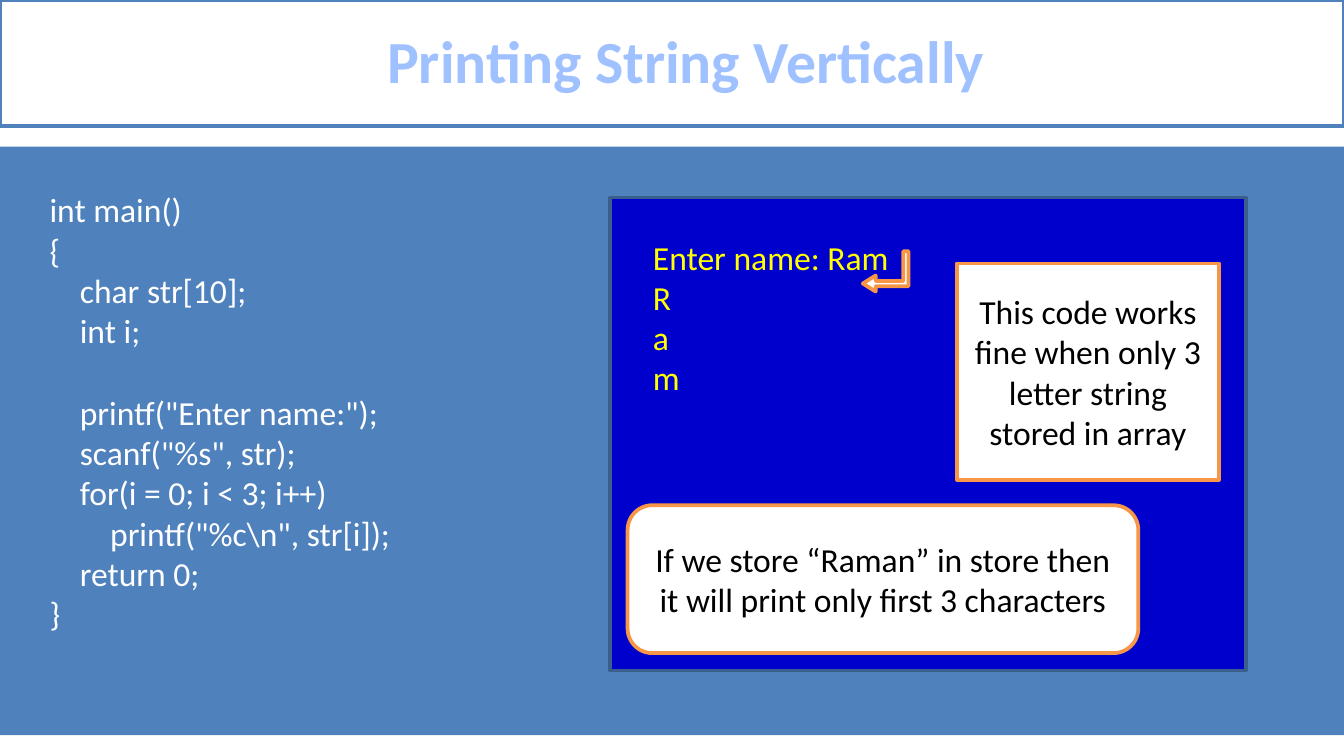
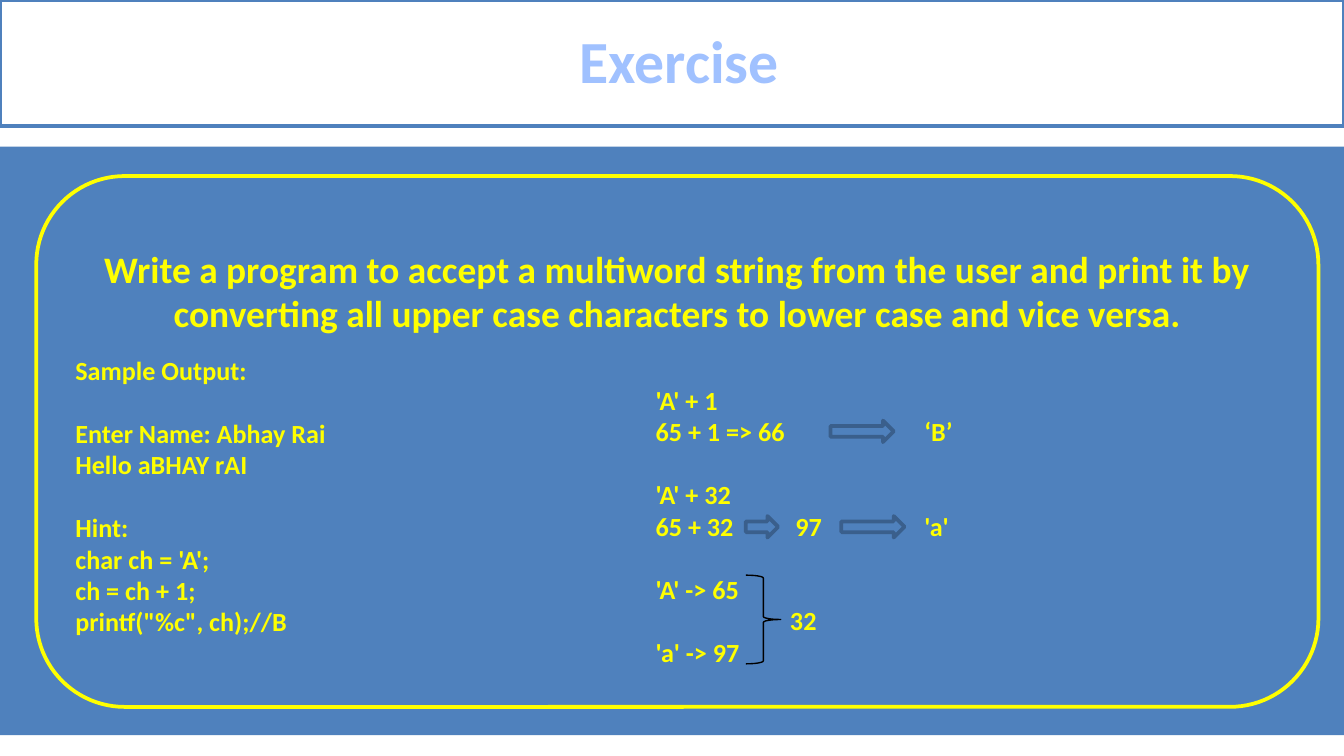
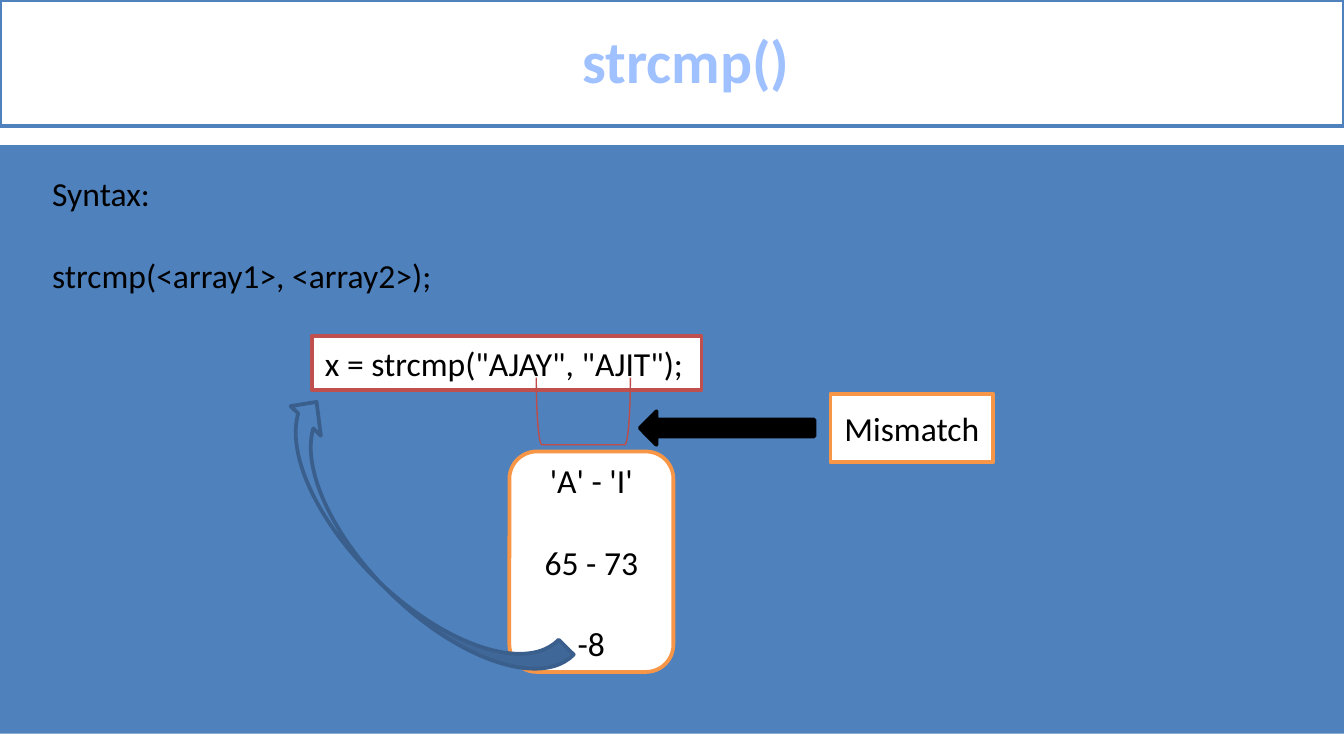
import pptx
import pptx.dml.color
import pptx.enum.shapes
import pptx.enum.text
import pptx.util
from lxml import etree
from pptx.oxml.ns import qn

Inches = pptx.util.Inches
Pt = pptx.util.Pt
RGBColor = pptx.dml.color.RGBColor
SHAPE = pptx.enum.shapes.MSO_SHAPE
ALIGN = pptx.enum.text.PP_ALIGN
ANCHOR = pptx.enum.text.MSO_ANCHOR
AUTO_SIZE = pptx.enum.text.MSO_AUTO_SIZE

WHITE = RGBColor(0xFF, 0xFF, 0xFF)
BLACK = RGBColor(0x00, 0x00, 0x00)
YELLOW = RGBColor(0xFF, 0xFF, 0x00)
BLUE = RGBColor(0x4F, 0x81, 0xBD)
DARK_BLUE = RGBColor(0x3A, 0x5F, 0x8C)
SCREEN_BLUE = RGBColor(0x00, 0x00, 0xCC)
TITLE_BLUE = RGBColor(0xA0, 0xC1, 0xFF)
ORANGE = RGBColor(0xF7, 0x96, 0x46)
RED = RGBColor(0xC0, 0x50, 0x4D)
BRACKET_RED = RGBColor(0xBF, 0x4C, 0x48)

FONT = "Calibri"
LINE_HEIGHT = 1.22
TITLE_ONLY = 5
SLIDE_WIDTH = Inches(10)
SLIDE_HEIGHT = SLIDE_WIDTH * 9 // 16
TITLE_BOX = (0, 0, 10, 0.94)
BAND_SIZE = (10, 4.38)

TITLE_TEXT = {"size": 32, "bold": True, "color": TITLE_BLUE, "align": ALIGN.CENTER}
CODE_TEXT = {"size": 18, "color": WHITE}
SCREEN_TEXT = {"size": 18, "color": YELLOW}
PLAIN_TEXT = {"size": 18, "color": BLACK}
NOTE_TEXT = {"size": 18, "color": BLACK, "align": ALIGN.CENTER}
TASK_TEXT = {"size": 20, "bold": True, "color": YELLOW, "align": ALIGN.CENTER}
SAMPLE_TEXT = {"size": 14, "bold": True, "color": YELLOW}

NOTE = {"fill": WHITE, "line": ORANGE}
FLOW_ARROW = {"kind": SHAPE.RIGHT_ARROW, "fill": BLUE, "line": DARK_BLUE}


def after_gap(text, lines=1.0):
    return {"text": text, "gap": lines}


def with_tabs(text, *stops):
    return {"text": text, "tabs": stops}


SLIDES = [
    {
        "title": "Printing String Vertically",
        "band_top": 1.09,
        "parts": [
            {"box": (0.27, 1.36, 2.78, 3.43), "style": CODE_TEXT, "text": [
                "int main()", "{", "    char str[10];", "    int i;",
                after_gap('    printf("Enter name:");'),
                '    scanf("%s", str);', "    for(i = 0; i < 3; i++)",
                '        printf("%c\\n", str[i]);', "    return 0;", "}"]},
            {"kind": SHAPE.RECTANGLE, "box": (4.54, 1.47, 4.73, 3.52),
             "fill": SCREEN_BLUE, "line": DARK_BLUE},
            {"box": (4.76, 1.71, 1.98, 1.31), "style": SCREEN_TEXT,
             "text": ["Enter name: Ram", "R", "a", "m"]},
            {**NOTE, "kind": SHAPE.RECTANGLE, "box": (7.12, 1.96, 1.95, 1.61),
             "style": NOTE_TEXT,
             "text": ["This code works fine when only 3 letter string",
                      "stored in array"]},
            {**NOTE, "kind": SHAPE.ROUNDED_RECTANGLE, "box": (4.67, 3.76, 3.8, 1.1),
             "style": NOTE_TEXT,
             "text": ["If we store “Raman” in store then it will print "
                      "only first 3 characters"]},
            {**NOTE, "kind": SHAPE.BENT_UP_ARROW, "box": (6.44, 1.85, 0.3, 0.34),
             "rotation": 90, "flip": "flipV", "adjust": (0.13, 0.2, 0.32)},
        ],
    },
    {
        "title": "Exercise ",
        "band_top": 1.09,
        "parts": [
            {"kind": SHAPE.ROUNDED_RECTANGLE, "box": (0.27, 1.31, 9.54, 3.95),
             "fill": BLUE, "line": YELLOW, "style": SAMPLE_TEXT, "text": [
                 {"text": "Write a program to accept a multiword string from the "
                          "user and print it by converting all upper case "
                          "characters to lower case and vice versa.",
                  **TASK_TEXT},
                 after_gap("Sample Output:", 0.57),
                 after_gap("Enter Name: Abhay Rai"), "Hello aBHAY rAI",
                 after_gap("Hint:"), "char ch = 'A';", "ch = ch + 1;",
                 'printf("%c", ch);//B']},
            {"box": (4.78, 2.81, 3.14, 2.22), "style": SAMPLE_TEXT, "text": [
                "'A' + 1", with_tabs("65 + 1 => 66\t‘B’", 2),
                after_gap("'A' + 32"), with_tabs("65 + 32\t97\t'a'", 1.04, 2),
                after_gap("'A' -> 65"), with_tabs("\t32", 1), "'a' -> 97"]},
            {**FLOW_ARROW, "box": (5.55, 3.84, 0.24, 0.16)},
            {**FLOW_ARROW, "box": (6.26, 3.84, 0.47, 0.16)},
            {"kind": SHAPE.RIGHT_BRACE, "box": (5.55, 4.28, 0.26, 0.66),
             "line": BLACK, "width": 0.75},
            {**FLOW_ARROW, "box": (6.18, 3.13, 0.47, 0.16)},
        ],
    },
    {
        "title": "strcmp()",
        "band_top": 1.08,
        "parts": [
            {"box": (0.29, 1.24, 3.05, 1.01), "style": PLAIN_TEXT,
             "text": ["Syntax:", after_gap("strcmp(<array1>, <array2>);")]},
            {"kind": SHAPE.RECTANGLE, "box": (2.32, 2.5, 2.9, 0.4),
             "fill": WHITE, "line": RED, "style": PLAIN_TEXT,
             "text": ['x = strcmp("AJAY", "AJIT");']},
            {"kind": SHAPE.RIGHT_BRACKET, "box": (4.09, 2.71, 0.5, 0.7),
             "rotation": 90, "line": BRACKET_RED, "width": 0.75},
            {**NOTE, "kind": SHAPE.ROUNDED_RECTANGLE, "box": (3.79, 3.36, 1.22, 1.64),
             "style": NOTE_TEXT,
             "text": ["'A' - 'I'", after_gap("65 - 73"), after_gap("-8")]},
            {"kind": SHAPE.CURVED_RIGHT_ARROW, "box": (2.72, 2.68, 0.63, 2.84),
             "rotation": 134.5, "flip": "flipH", "fill": BLUE, "line": DARK_BLUE},
            {"kind": SHAPE.LEFT_ARROW, "box": (4.76, 3.06, 1.3, 0.25),
             "fill": BLACK, "line": BLACK},
            {**NOTE, "kind": SHAPE.RECTANGLE, "box": (6.18, 2.93, 1.21, 0.51),
             "style": NOTE_TEXT, "text": ["Mismatch"]},
        ],
    },
]


def add_tabs(paragraph, stops):
    tab_list = etree.SubElement(paragraph._p.get_or_add_pPr(), qn("a:tabLst"))
    for stop in stops:
        etree.SubElement(tab_list, qn("a:tab"), pos=str(Inches(stop)), algn="l")


def write_text(shape, lines, style, anchor):
    frame = shape.text_frame
    frame_format = {"word_wrap": True, "auto_size": AUTO_SIZE.NONE,
                    "vertical_anchor": anchor}
    for name, value in frame_format.items():
        setattr(frame, name, value)
    for index, line in enumerate(lines):
        entry = {**style, **(line if isinstance(line, dict) else {"text": line})}
        paragraph = frame.add_paragraph() if index else frame.paragraphs[0]
        if "tabs" in entry:
            add_tabs(paragraph, entry["tabs"])
        paragraph.alignment = entry.get("align", ALIGN.LEFT)
        if "gap" in entry:
            paragraph.space_before = Pt(round(entry["gap"] * entry["size"] * LINE_HEIGHT))
        run = paragraph.add_run()
        run.text = entry["text"]
        font_format = {"name": FONT, "size": Pt(entry["size"]),
                       "bold": entry.get("bold", False)}
        for name, value in font_format.items():
            setattr(run.font, name, value)
        run.font.color.rgb = entry["color"]


def paint(shape, fill=None, line=None, width=2):
    if fill is None:
        shape.fill.background()
    else:
        shape.fill.solid()
        shape.fill.fore_color.rgb = fill
    if line is None:
        shape.line.fill.background()
    else:
        shape.line.color.rgb = line
        shape.line.width = Pt(width)


def add_part(slide, part):
    box = [Inches(length) for length in part["box"]]
    anchor = ANCHOR.TOP
    if "kind" in part:
        shape = slide.shapes.add_shape(part["kind"], *box)
        shape.shadow.inherit = False
        paint(shape, part.get("fill"), part.get("line"), part.get("width", 2))
        shape.rotation = part.get("rotation", 0)
        if "flip" in part:
            shape._element.spPr.xfrm.set(part["flip"], "1")
        for index, value in enumerate(part.get("adjust", ())):
            shape.adjustments[index] = value
        anchor = ANCHOR.MIDDLE
    else:
        shape = slide.shapes.add_textbox(*box)
    if "text" in part:
        write_text(shape, part["text"], part["style"], anchor)


def add_title(slide, text):
    title = slide.shapes.title
    for name, length in zip(("left", "top", "width", "height"), TITLE_BOX):
        setattr(title, name, Inches(length))
    paint(title, WHITE, BLUE)
    write_text(title, [text], TITLE_TEXT, ANCHOR.MIDDLE)
    paragraph = title.text_frame.paragraphs[0]
    paragraph.line_spacing = 0.96
    paragraph._p.get_or_add_pPr().set("marL", str(Inches(0.21)))


def main():
    presentation = pptx.Presentation()
    presentation.slide_width = SLIDE_WIDTH
    presentation.slide_height = SLIDE_HEIGHT
    for content in SLIDES:
        slide = presentation.slides.add_slide(presentation.slide_layouts[TITLE_ONLY])
        add_title(slide, content["title"])
        band = {"kind": SHAPE.RECTANGLE, "fill": BLUE,
                "box": (0, content["band_top"], *BAND_SIZE)}
        for part in [band, *content["parts"]]:
            add_part(slide, part)
    presentation.save("out.pptx")


if __name__ == "__main__":
    main()
